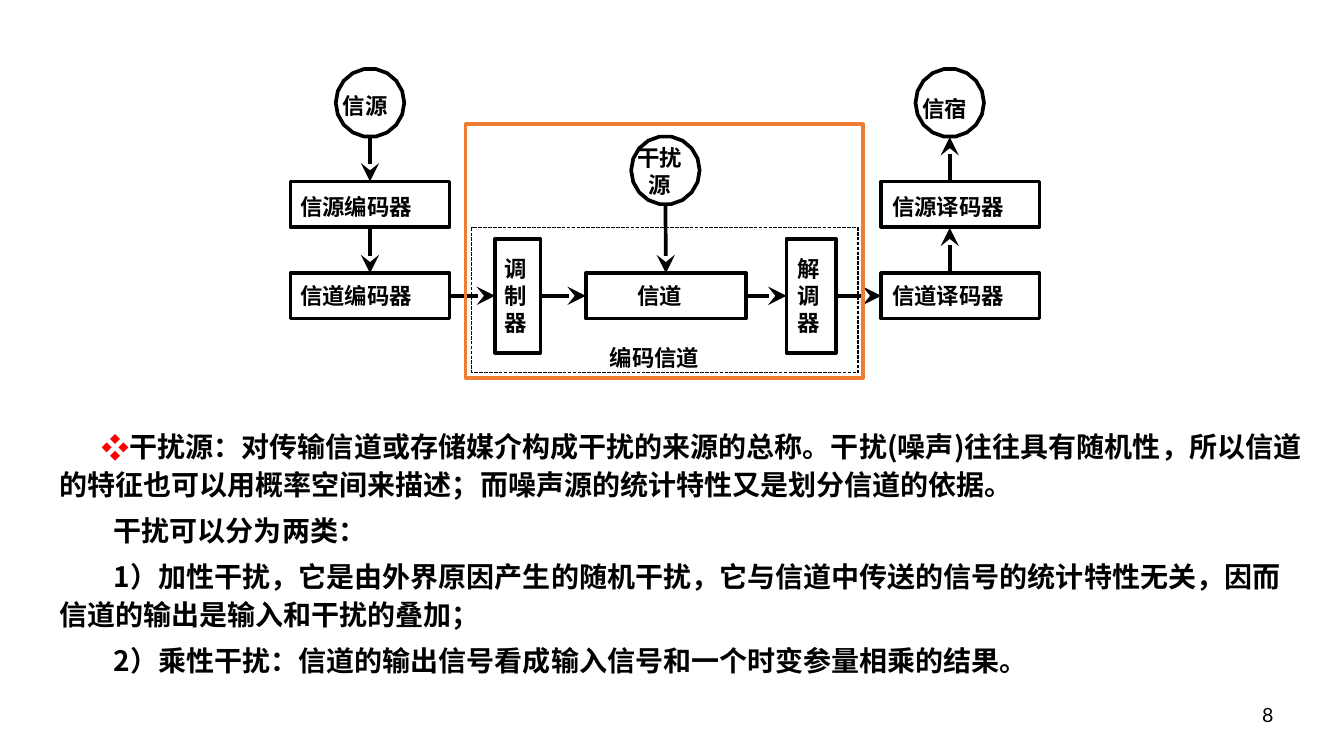
import math

from lxml import etree
from pptx import Presentation
from pptx.dml.color import RGBColor
from pptx.enum.dml import MSO_LINE
from pptx.enum.shapes import MSO_CONNECTOR, MSO_SHAPE
from pptx.enum.text import MSO_ANCHOR, PP_ALIGN
from pptx.oxml.ns import qn
from pptx.util import Pt

PX = 9144  # 100 px to the inch
BLACK = RGBColor(0x00, 0x00, 0x00)
RED = RGBColor(0xFF, 0x00, 0x00)
ORANGE = RGBColor(0xED, 0x7D, 0x31)
CJK, LATIN = "Noto Sans CJK SC", "Lato"
RECTANGLE, STRAIGHT = MSO_SHAPE.RECTANGLE, MSO_CONNECTOR.STRAIGHT
LEFT, CENTER = PP_ALIGN.LEFT, PP_ALIGN.CENTER
TOP, MIDDLE = MSO_ANCHOR.TOP, MSO_ANCHOR.MIDDLE
SYS_DASH = MSO_LINE.SQUARE_DOT
SIDE_TOP, SIDE_LEFT, SIDE_BOTTOM, SIDE_RIGHT = range(4)
STROKE = 2.63
RADIUS = 34
CORNERS = 18

NOISE = ("干扰源：对传输信道或存储媒介构成干扰的来源的总称。干扰(噪声)往往具有随机性，"
         "所以信道的特征也可以用概率空间来描述；而噪声源的统计特性又是划分信道的依据。")
NOISE_TYPES = [
    "干扰可以分为两类：",
    "1）加性干扰，它是由外界原因产生的随机干扰，它与信道中传送的信号的统计特性无关，"
    "因而信道的输出是输入和干扰的叠加；",
    "2）乘性干扰：信道的输出信号看成输入信号和一个时变参量相乘的结果。",
]


def px(*lengths):
    return [round(length * PX) for length in lengths]


def write(frame, lines, size=16, font=CJK, bold=True, align=LEFT, anchor=TOP,
          wrap=False, insets=(0, 0, 0, 0)):
    left, top, right, bottom = px(*insets)
    settings = {"word_wrap": wrap, "vertical_anchor": anchor, "margin_left": left,
                "margin_top": top, "margin_right": right, "margin_bottom": bottom}
    for name, value in settings.items():
        setattr(frame, name, value)
    for number, line in enumerate(lines):
        paragraph = frame.add_paragraph() if number else frame.paragraphs[0]
        paragraph.alignment = align
        run = paragraph.add_run()
        run.text = line
        for name, value in {"size": Pt(size), "bold": bold, "name": font}.items():
            setattr(run.font, name, value)
        run.font.color.rgb = BLACK
        etree.SubElement(run.font._element, qn("a:ea"), typeface=font)


def outline(shape, color=BLACK, width=STROKE, dash=None):
    shape.shadow.inherit = False
    shape.fill.background()
    shape.line.color.rgb = color
    shape.line.width = Pt(width)
    if dash:
        shape.line.dash_style = dash
    return shape


def add_frame(slide, box, **line):
    return outline(slide.shapes.add_shape(RECTANGLE, *px(*box)), **line)


def add_block(slide, box, lines, indent, drop=0):
    block = add_frame(slide, box)
    write(block.text_frame, lines, anchor=MIDDLE, insets=(indent, drop, 0, 0))
    return block


def add_label(slide, box, lines, **text):
    label = slide.shapes.add_textbox(*px(*box))
    write(label.text_frame, lines, **text)
    return label


def add_terminal(slide, x, y):
    """A round terminal drawn as a regular polygon."""
    points = [px(x + RADIUS * math.cos(math.tau * k / CORNERS),
                 y + RADIUS * math.sin(math.tau * k / CORNERS))
              for k in range(CORNERS)]
    builder = slide.shapes.build_freeform(*points[0])
    builder.add_line_segments(points[1:], close=True)
    return outline(builder.convert_to_shape())


def add_arrow(slide, ends=(0, 0, 0, 0), source=None, target=None):
    arrow = slide.shapes.add_connector(STRAIGHT, *px(*ends))
    if source:
        arrow.begin_connect(*source)
    if target:
        arrow.end_connect(*target)
    arrow.line.color.rgb = BLACK
    arrow.line.width = Pt(STROKE)
    etree.SubElement(arrow.line._get_or_add_ln(), qn("a:tailEnd"),
                     type="stealth", w="lg", len="lg")
    etree.SubElement(arrow._element.spPr, qn("a:effectLst"))


def add_bullet(paragraph):
    properties = paragraph._p.get_or_add_pPr()
    color = etree.SubElement(properties, qn("a:buClr"))
    etree.SubElement(color, qn("a:srgbClr"), val=str(RED))
    etree.SubElement(properties, qn("a:buFont"), typeface=CJK)
    etree.SubElement(properties, qn("a:buChar"), char="❖")


def add_explanation(slide):
    body = add_label(slide, (28, 416, 1277, 283), [NOISE, *NOISE_TYPES], size=20,
                     wrap=True, insets=(10, 5, 10, 5))
    paragraphs = body.text_frame.paragraphs
    for number, paragraph in enumerate(paragraphs):
        paragraph.line_spacing = 1.15
        paragraph.space_before = Pt(5)
        margin, indent = px(21, 54 if number else 42)
        properties = paragraph._p.get_or_add_pPr()
        properties.set("marL", str(margin))
        properties.set("indent", str(indent))
    add_bullet(paragraphs[0])


def add_diagram(slide):
    # Coding channel boundary
    add_frame(slide, (468, 226, 383, 144), width=0.88, dash=SYS_DASH)

    # Terminals
    for x, y in [(367, 102), (942, 102), (660, 169)]:
        add_terminal(slide, x, y)
    add_label(slide, (340, 91, 45, 27), ["信源"])
    add_label(slide, (915, 94, 45, 27), ["信宿"])
    add_label(slide, (632, 143, 45, 54), ["干扰", "源"], align=CENTER)

    # Processing blocks
    source_encoder = add_block(slide, (288, 180, 158, 45), ["信源编码器"], 10, 4)
    channel_encoder = add_block(slide, (288, 271, 158, 45), ["信道编码器"], 10)
    modulator = add_block(slide, (491, 237, 45, 113), "调制器", 9)
    channel = add_block(slide, (581, 271, 159, 45), ["信道"], 51)
    demodulator = add_block(slide, (780, 237, 49, 113), "解调器", 11)
    add_block(slide, (874, 180, 157, 45), ["信源译码器"], 11, 4)
    channel_decoder = add_block(slide, (874, 271, 157, 45), ["信道译码器"], 11)

    # Signal flow
    add_arrow(slide, (367, 136, 367, 180), target=(source_encoder, SIDE_TOP))
    add_arrow(slide, source=(source_encoder, SIDE_BOTTOM),
              target=(channel_encoder, SIDE_TOP))
    chain = [channel_encoder, modulator, channel, demodulator, channel_decoder]
    for sender, receiver in zip(chain, chain[1:]):
        add_arrow(slide, source=(sender, SIDE_RIGHT), target=(receiver, SIDE_LEFT))
    for start, end in [(271, 226), (180, 136)]:
        add_arrow(slide, (942, start, 942, end))
    add_arrow(slide, (660, 203, 660, 271), target=(channel, SIDE_TOP))

    add_label(slide, (605, 341, 90, 27), ["编码信道"])


def main():
    deck = Presentation()
    deck.slide_width, deck.slide_height = px(1333, 750)
    slide = deck.slides.add_slide(deck.slide_layouts[6])

    add_diagram(slide)
    add_explanation(slide)
    # Highlight around the channel
    add_frame(slide, (462, 123, 394, 252), color=ORANGE, width=2.25)
    # Page number
    add_label(slide, (1242, 684, 80, 50), ["8"], size=14, font=LATIN, bold=False,
              anchor=MIDDLE, insets=(10, 5, 10, 5))
    deck.save("out.pptx")


if __name__ == "__main__":
    main()
